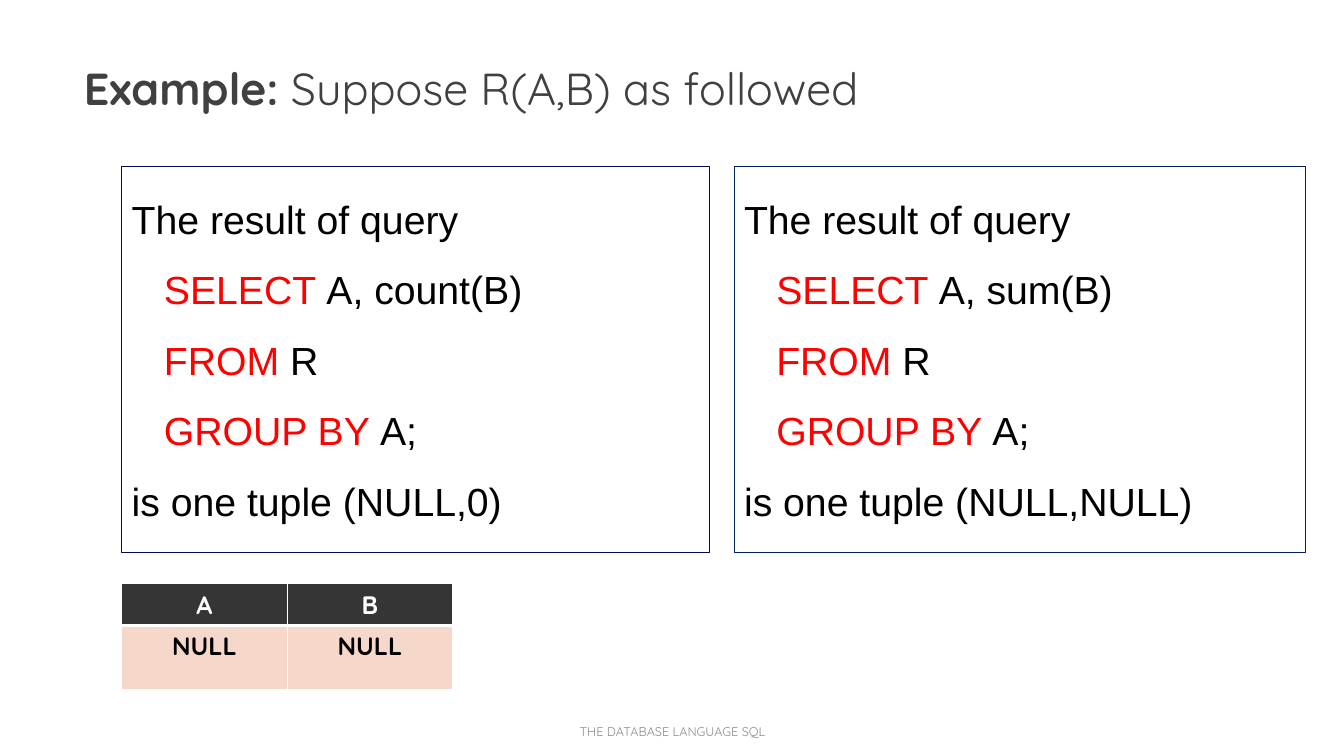
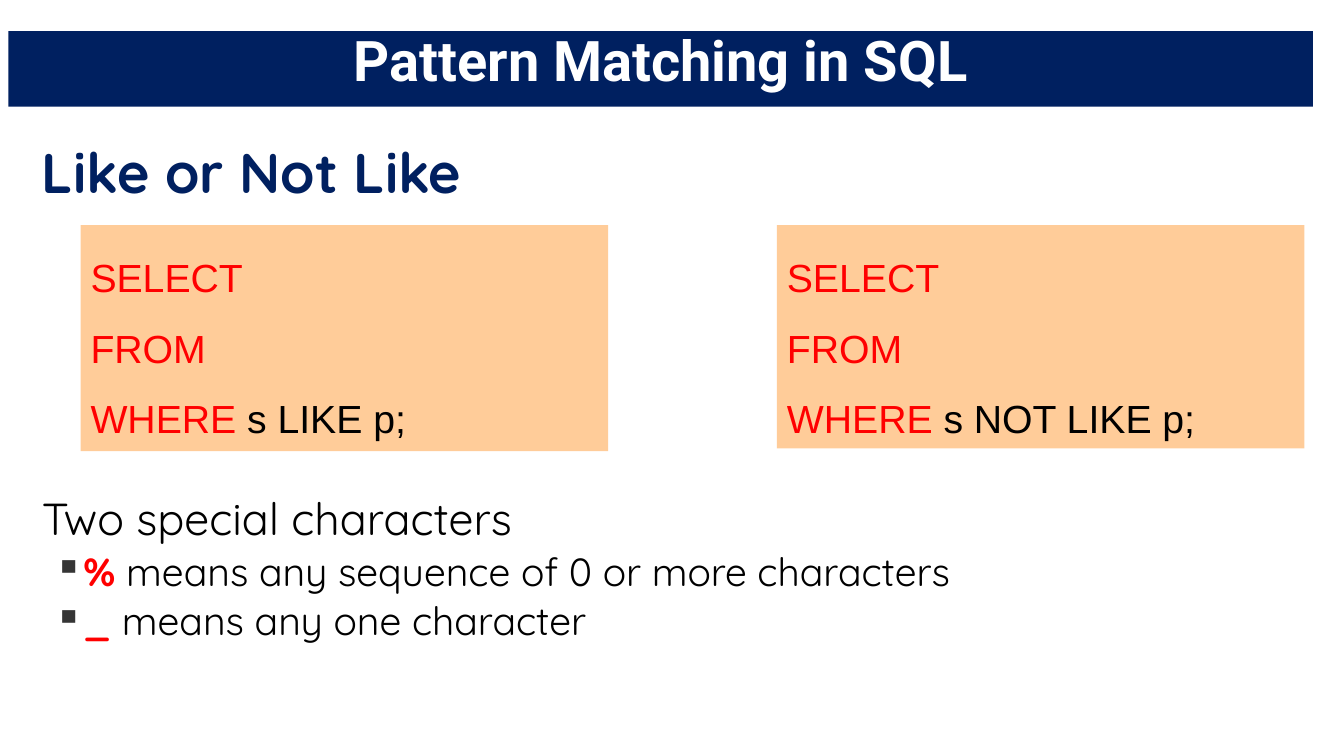
import pptx
import pptx.dml.color
import pptx.enum.shapes
import pptx.enum.text
import pptx.oxml
import pptx.oxml.ns
import pptx.util
from lxml import etree

COLORS = {
    "navy": "002060", "indigo": "05075B", "keyword": "FF0000", "black": "000000",
    "white": "FFFFFF", "heading": "404040", "dark": "353535", "peach": "F5D8CA",
    "orange": "FFCC99", "footer": "8C8C8C",
}
ALIGN = pptx.enum.text.PP_ALIGN
ANCHOR = pptx.enum.text.MSO_ANCHOR
qn = pptx.oxml.ns.qn

deck = pptx.Presentation()
deck.slide_width = pptx.util.Inches(13.33)
deck.slide_height = pptx.util.Inches(7.5)

# Grid: 160 columns by 90 rows
COL = deck.slide_width / 160
ROW = deck.slide_height / 90


def place(left, top, width, height):
    """Turn grid columns and rows into slide lengths."""
    return [round(n * unit) for n, unit in
            zip((left, top, width, height), (COL, ROW, COL, ROW))]


def write(frame, lines, size, color="black", font="Quicksand", bold=False,
          align=ALIGN.LEFT, anchor=ANCHOR.TOP, spacing=1.0, inset=0.1):
    """Fill a frame; a line is a list of runs: (text, format changes)."""
    frame.word_wrap = True
    frame.auto_size = pptx.enum.text.MSO_AUTO_SIZE.NONE
    frame.vertical_anchor = anchor
    frame.margin_left = frame.margin_right = pptx.util.Inches(inset)
    frame.margin_top = frame.margin_bottom = pptx.util.Inches(0.05)
    for number, line in enumerate(lines):
        paragraph = frame.add_paragraph() if number else frame.paragraphs[0]
        paragraph.alignment = align
        paragraph.line_spacing = spacing
        for text, changes in line:
            run = paragraph.add_run()
            run.text = text
            run.font.name = font
            run.font.size = pptx.util.Pt(changes.get("size", size))
            run.font.bold = changes.get("bold", bold)
            run.font.color.rgb = pptx.dml.color.RGBColor.from_string(
                COLORS[changes.get("color", color)])


example, matching = [deck.slides.add_slide(deck.slide_layouts[5]) for _ in range(2)]
RED = {"color": "keyword"}
RED_BOLD = {"color": "keyword", "bold": True}

# Titles
example_title = example.shapes.title
example_title.left, example_title.top, example_title.width, example_title.height = place(
    10, 7.4, 144, 9)
write(example_title.text_frame,
      [[("Example:", {"bold": True}), (" Suppose R(A,B) as followed", {})]],
      size=32, color="heading", spacing=0.9, inset=0)

band = matching.shapes.title
band.left, band.top, band.width, band.height = place(1, 3.7, 155.3, 9)
band.fill.solid()
band.fill.fore_color.rgb = pptx.dml.color.RGBColor.from_string(COLORS["navy"])
write(band.text_frame, [[("Pattern Matching in SQL", {})]], size=40, color="white",
      font="Roboto", bold=True, align=ALIGN.CENTER, spacing=0.85)

# Query panels: slide, place, fill, outline, lines
panels = []
for left, width, outline, function, answer in [
        (14.5, 70, "indigo", "count", "0"), (87.4, 68, "navy", "sum", "NULL")]:
    panels.append((example, (left, 19.8, width, 46), None, outline, [
        [("The result of query", {})],
        [("SELECT ", RED), (f"A, {function}(B)", {})],
        [("FROM ", RED), ("R", {})],
        [("GROUP BY ", RED), ("A;", {})],
        [(f"is one tuple (NULL,{answer})", {})]]))
for left, height, operator in [(9.6, 26.9, "LIKE"), (92.5, 26.6, "NOT LIKE")]:
    panels.append((matching, (left, 26.8, 62.8, height), "orange", None, [
        [("SELECT", RED)],
        [("FROM", RED)],
        [("WHERE", RED), (f" s {operator} p;", {})]]))

for slide, spot, fill, outline, lines in panels:
    panel = slide.shapes.add_shape(pptx.enum.shapes.MSO_SHAPE.RECTANGLE, *place(*spot))
    panel.shadow.inherit = False
    if fill:
        panel.fill.solid()
        panel.fill.fore_color.rgb = pptx.dml.color.RGBColor.from_string(COLORS[fill])
    else:
        panel.fill.background()
    if outline:
        panel.line.color.rgb = pptx.dml.color.RGBColor.from_string(COLORS[outline])
        panel.line.width = pptx.util.Pt(0.75)
    else:
        panel.line.fill.background()
    write(panel.text_frame, lines, size=28, font="Arial", spacing=1.5)
    if slide is example:
        for clause in panel.text_frame.paragraphs[1:4]:
            clause._p.get_or_add_pPr().set("marL", str(pptx.util.Inches(0.32)))

# Relation R: header row, then one tuple
relation_rows = [(("A", "B"), 4.8, "dark", "white"),
                 (("NULL", "NULL"), 7.6, "peach", "black")]
relation = example.shapes.add_table(2, 2, *place(14.5, 69.5, 39.4, 12.4)).table
for column in relation.columns:
    column.width = round(19.7 * COL)
for r, (values, height, fill, ink) in enumerate(relation_rows):
    relation.rows[r].height = round(height * ROW)
    for c, value in enumerate(values):
        cell = relation.cell(r, c)
        write(cell.text_frame, [[(value, {})]], size=18, color=ink, bold=True,
              align=ALIGN.CENTER)
        cell.vertical_anchor = ANCHOR.TOP
        properties = cell._tc.get_or_add_tcPr()
        for side in ("lnL", "lnR", "lnT", "lnB"):
            thick = (r, side) in ((0, "lnB"), (1, "lnT"))
            border = etree.SubElement(properties, qn(f"a:{side}"),
                                      w=str(pptx.util.Pt(3 if thick else 1)))
            paint = etree.SubElement(border, qn("a:solidFill"))
            etree.SubElement(paint, qn("a:srgbClr"), val=COLORS["white"])
        cell.fill.solid()
        cell.fill.fore_color.rgb = pptx.dml.color.RGBColor.from_string(COLORS[fill])

# Footer
footer = example.shapes.add_textbox(*place(56.3, 84.7, 47.5, 4.8))
write(footer.text_frame, [[("THE DATABASE LANGUAGE SQL", {})]], size=9,
      color="footer", align=ALIGN.CENTER, anchor=ANCHOR.MIDDLE)

# Subheading and the special characters
subheading = matching.shapes.add_textbox(*place(5, 16.7, 116, 9))
write(subheading.text_frame, [[("Like or Not Like", {})]], size=40, color="navy",
      bold=True, spacing=0.9, inset=0)

wildcards = matching.shapes.add_textbox(*place(5, 58.6, 116, 20))
write(wildcards.text_frame, [
    [("Two special characters", {"size": 32})],
    [("% ", RED_BOLD), ("means any sequence of 0 or more characters", {})],
    [("_ ", RED_BOLD), ("means any one character", {})],
], size=28, spacing=0.9, inset=0)
for wildcard in wildcards.text_frame.paragraphs[1:]:
    wildcard.space_before = pptx.util.Pt(5)
    properties = wildcard._p.get_or_add_pPr()
    properties.set("marL", str(pptx.util.Inches(0.32)))
    properties.set("indent", str(pptx.util.Inches(-0.2)))
    bullet_color = etree.SubElement(properties, qn("a:buClr"))
    etree.SubElement(bullet_color, qn("a:srgbClr"), val=COLORS["dark"])
    etree.SubElement(properties, qn("a:buChar"), char="▪")

deck.save("out.pptx")
